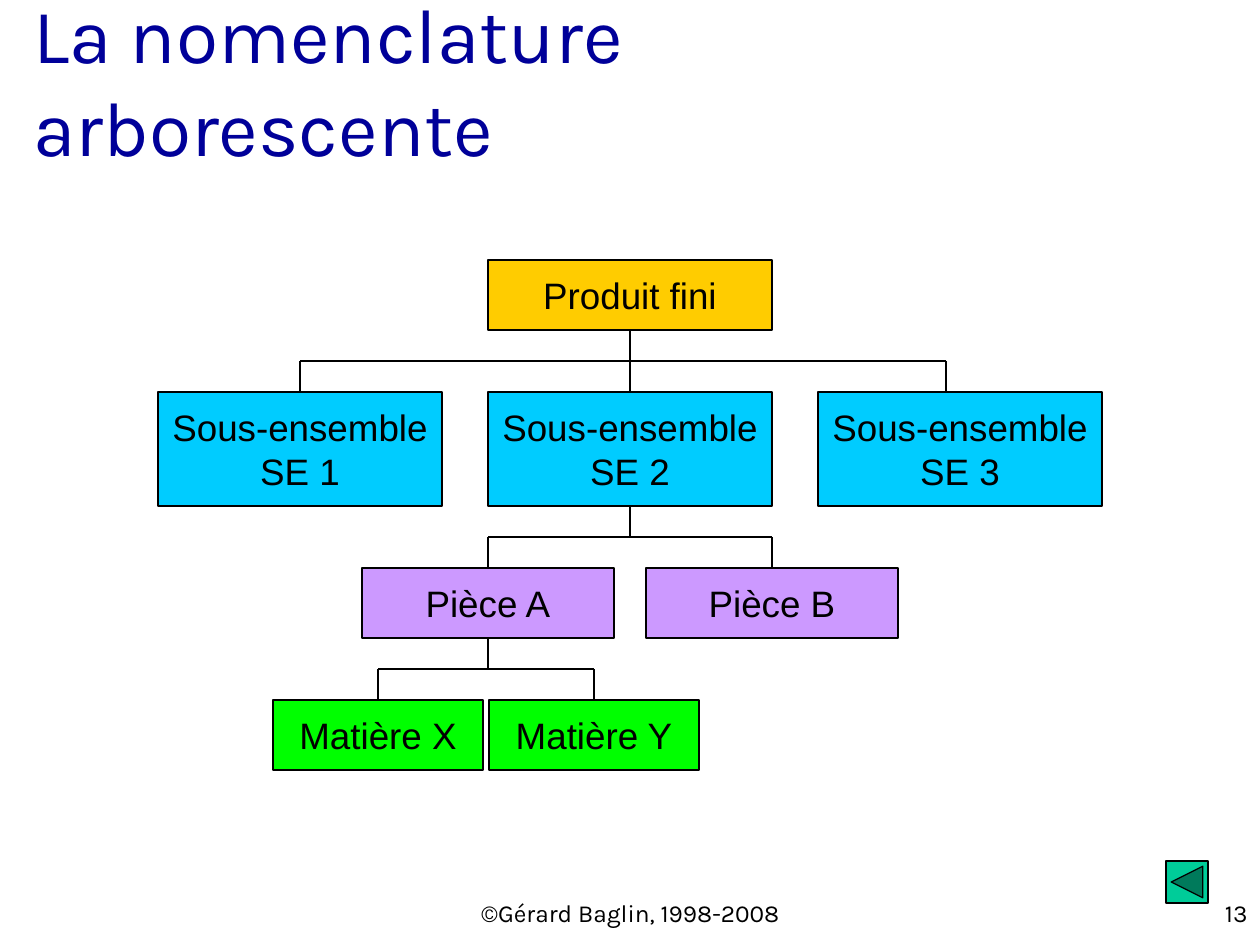
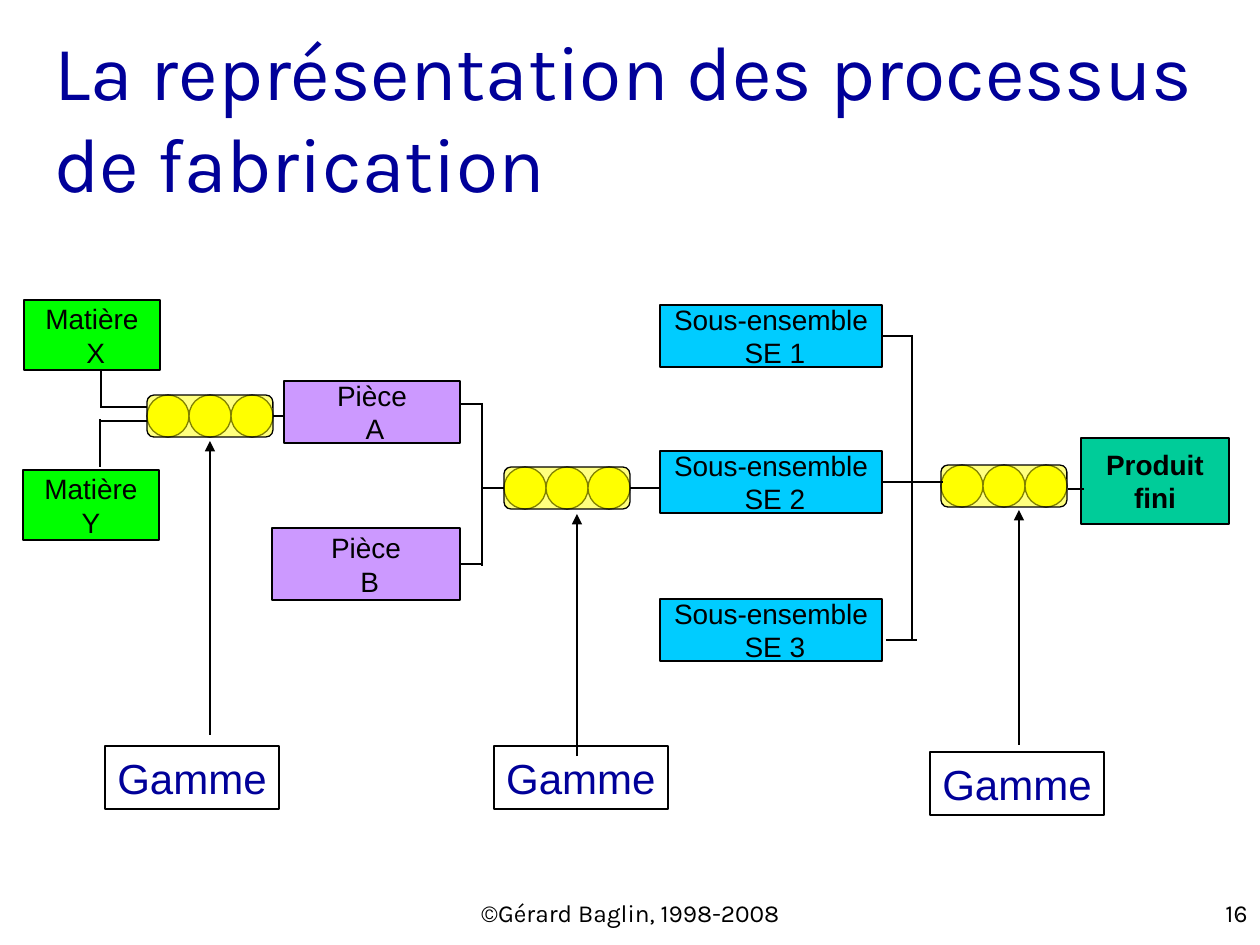
from dataclasses import dataclass
from typing import Optional

from lxml import etree
from pptx import Presentation
from pptx import slide as sl
from pptx import util as u
from pptx.dml.color import RGBColor
from pptx.enum import shapes, text
from pptx.oxml import ns
from pptx.shapes import autoshape, connector
from pptx.text import text as tx

EMU_PER_PX = 914400 / 126
SLIDE_W, SLIDE_H = 1260, 945

BLACK = RGBColor(0x00, 0x00, 0x00)
NAVY = RGBColor(0x00, 0x00, 0x99)
CYAN = RGBColor(0x00, 0xCC, 0xFF)
GREEN = RGBColor(0x00, 0xFF, 0x00)
LILAC = RGBColor(0xCC, 0x99, 0xFF)
ORANGE = RGBColor(0xFF, 0xCC, 0x00)
TEAL = RGBColor(0x00, 0xCC, 0x99)
YELLOW = RGBColor(0xFF, 0xFF, 0x00)

HEADING_FONT, BODY_FONT = "Karla", "Arial"
FOOTER = "©Gérard Baglin, 1998-2008"
TOP, LEFT, BOTTOM, RIGHT = range(4)
CENTER = text.PP_ALIGN.CENTER
RECT = shapes.MSO_SHAPE.RECTANGLE
OPERATION = 42
OPERATIONS_PER_ROUTING = 3


@dataclass(frozen=True)
class Box:
    x: int
    y: int
    w: int
    h: int


@dataclass(frozen=True)
class Item:
    """A part of the product; drop_shift moves its tree line off the middle."""
    label: str
    box: Box
    fill: RGBColor
    bold: bool = False
    parent: Optional[str] = None
    drop_shift: int = 0


@dataclass(frozen=True)
class Routing:
    key: str
    x: int
    y: int
    label_x: int
    label_y: int
    arrow_x: int
    arrow_from: int
    arrow_to: int


@dataclass(frozen=True)
class Link:
    """A line, joined to the named items at the given side."""
    x1: int
    y1: int
    x2: int
    y2: int
    source: Optional[tuple[str, int]] = None
    target: Optional[tuple[str, int]] = None


PRODUCT_TREE = [
    Item("Produit fini", Box(488, 260, 284, 70), ORANGE),
    Item("Sous-ensemble\nSE 1", Box(158, 392, 284, 114), CYAN, parent="Produit fini"),
    Item("Sous-ensemble\nSE 2", Box(488, 392, 284, 114), CYAN, parent="Produit fini"),
    Item("Sous-ensemble\nSE 3", Box(818, 392, 284, 114), CYAN, parent="Produit fini",
         drop_shift=-14),
    Item("Pièce A", Box(362, 568, 252, 70), LILAC, parent="Sous-ensemble\nSE 2"),
    Item("Pièce B", Box(646, 568, 252, 70), LILAC, parent="Sous-ensemble\nSE 2"),
    Item("Matière X", Box(273, 700, 210, 70), GREEN, parent="Pièce A"),
    Item("Matière Y", Box(489, 700, 210, 70), GREEN, parent="Pièce A"),
]

PROCESS_ITEMS = {
    "SE 1": Item("Sous-ensemble\n SE 1", Box(660, 305, 222, 62), CYAN),
    "X": Item("Matière\n X", Box(24, 300, 136, 70), GREEN),
    "Y": Item("Matière\nY", Box(23, 470, 136, 70), GREEN),
    "A": Item("Pièce\n A", Box(284, 381, 176, 62), LILAC),
    "B": Item("Pièce\n B", Box(272, 528, 188, 72), LILAC),
    "Produit": Item("Produit fini", Box(1081, 438, 148, 86), TEAL, bold=True),
    "SE 2": Item("Sous-ensemble\n SE 2", Box(660, 451, 222, 62), CYAN),
    "SE 3": Item("Sous-ensemble\n SE 3", Box(660, 599, 222, 62), CYAN),
}

ROUTINGS = [
    Routing("final", 941, 465, 930, 752, 1019, 745, 510),
    Routing("sub", 504, 467, 494, 746, 577, 756, 514),
    Routing("part", 147, 395, 105, 746, 210, 735, 441),
]

PROCESS_LINKS = [
    Link(912, 336, 912, 640),
    Link(882, 336, 913, 336, source=("SE 1", RIGHT)),
    Link(882, 482, 943, 482, source=("SE 2", RIGHT)),
    Link(1068, 489, 1084, 489),
    Link(886, 640, 917, 640),
    Link(482, 403, 482, 566),
    Link(482, 488, 504, 488, target=("sub", LEFT)),
    Link(460, 404, 482, 404),
    Link(460, 564, 482, 564, source=("B", RIGHT)),
    Link(630, 488, 660, 488, source=("sub", RIGHT)),
    Link(101, 370, 101, 408),
    Link(101, 407, 147, 407),
    Link(100, 419, 100, 467),
    Link(101, 421, 147, 421),
    Link(273, 416, 285, 416, source=("part", RIGHT)),
]


def px(length: int) -> u.Emu:
    return u.Emu(round(length * EMU_PER_PX))


def place(box: Box) -> tuple[u.Emu, ...]:
    return px(box.x), px(box.y), px(box.w), px(box.h)


def write(frame: tx.TextFrame, words: str, *, size: int, font: str = BODY_FONT,
          color: RGBColor = BLACK, align: text.PP_ALIGN = CENTER, bold: bool = False,
          anchor: text.MSO_ANCHOR = text.MSO_ANCHOR.MIDDLE, wrap: bool = True) -> None:
    frame.word_wrap = wrap
    frame.vertical_anchor = anchor
    frame.text = words
    for paragraph in frame.paragraphs:
        paragraph.alignment = align
        for run in paragraph.runs:
            run.font.size = u.Pt(size)
            run.font.name = font
            run.font.bold = bold
            run.font.color.rgb = color


def add_figure(slide: sl.Slide, preset: shapes.MSO_SHAPE, box: Box,
               fill: Optional[RGBColor] = None) -> autoshape.Shape:
    figure = slide.shapes.add_shape(preset, *place(box))
    figure.shadow.inherit = False
    if fill is None:
        figure.fill.background()
    else:
        figure.fill.solid()
        figure.fill.fore_color.rgb = fill
    figure.line.color.rgb = BLACK
    figure.line.width = u.Pt(0.75)
    return figure


def add_line(slide: sl.Slide, x1: int, y1: int, x2: int, y2: int, *,
             width: float = 0.75, arrow: bool = False) -> connector.Connector:
    line = slide.shapes.add_connector(
        shapes.MSO_CONNECTOR.STRAIGHT, px(x1), px(y1), px(x2), px(y2))
    line.line.color.rgb = BLACK
    line.line.width = u.Pt(width)
    properties = line.element.spPr
    if arrow:
        etree.SubElement(properties.find(ns.qn("a:ln")), ns.qn("a:tailEnd"), type="triangle")
    etree.SubElement(properties, ns.qn("a:effectLst"))
    return line


def add_words(slide: sl.Slide, box: Box, words: str, **style) -> None:
    write(slide.shapes.add_textbox(*place(box)).text_frame, words,
          font=HEADING_FONT, **style)


def add_item(slide: sl.Slide, item: Item, size: int) -> autoshape.Shape:
    figure = add_figure(slide, RECT, item.box, item.fill)
    write(figure.text_frame, item.label, size=size, bold=item.bold)
    return figure


def add_page(deck, title: str, title_box: Box, number: int) -> sl.Slide:
    """Adds a slide with its title, credit and page number."""
    slide = deck.slides.add_slide(deck.slide_layouts[6])
    add_words(slide, title_box, title, size=44, color=NAVY, align=text.PP_ALIGN.LEFT)
    top = text.MSO_ANCHOR.TOP
    add_words(slide, Box(431, 892, 399, 32), FOOTER, size=14, anchor=top)
    add_words(slide, Box(998, 892, 262, 32), str(number), size=14, anchor=top,
              align=text.PP_ALIGN.RIGHT)
    return slide


def add_tree(slide: sl.Slide, items: list[Item]) -> None:
    """Draws the boxes, then a trunk, rail and drops below each parent."""
    figures = {item.label: add_item(slide, item, size=21) for item in items}
    for parent in items:
        children = [item for item in items if item.parent == parent.label]
        if not children:
            continue
        trunk_x = parent.box.x + parent.box.w // 2
        bottom = parent.box.y + parent.box.h
        rail_y = (bottom + children[0].box.y) // 2
        trunk = add_line(slide, trunk_x, bottom, trunk_x, rail_y, width=1.5)
        trunk.begin_connect(figures[parent.label], BOTTOM)
        for child in children:
            drop_x = child.box.x + child.box.w // 2 + child.drop_shift
            drop = add_line(slide, drop_x, rail_y, drop_x, child.box.y, width=1.5)
            if not child.drop_shift:
                drop.end_connect(figures[child.label], TOP)
            if drop_x != trunk_x:
                add_line(slide, trunk_x, rail_y, drop_x, rail_y, width=1.5)


def add_routing(slide: sl.Slide, routing: Routing) -> autoshape.Shape:
    """Draws the operations in their translucent frame, with label and arrow."""
    for step in range(OPERATIONS_PER_ROUTING):
        add_figure(slide, shapes.MSO_SHAPE.OVAL,
                   Box(routing.x + step * OPERATION, routing.y, OPERATION, OPERATION), YELLOW)
    frame = add_figure(
        slide, shapes.MSO_SHAPE.ROUNDED_RECTANGLE,
        Box(routing.x, routing.y, OPERATIONS_PER_ROUTING * OPERATION, OPERATION), YELLOW)
    tint = frame.element.spPr.find(ns.qn("a:solidFill")).find(ns.qn("a:srgbClr"))
    etree.SubElement(tint, ns.qn("a:alpha"), val="50000")

    label = add_figure(slide, RECT, Box(routing.label_x, routing.label_y, 174, 63))
    write(label.text_frame, "Gamme", size=24, color=NAVY, wrap=False)
    add_line(slide, routing.arrow_x, routing.arrow_from,
             routing.arrow_x, routing.arrow_to, arrow=True)
    return frame


def add_process(slide: sl.Slide) -> None:
    stages = {key: add_item(slide, item, size=16) for key, item in PROCESS_ITEMS.items()}
    for routing in ROUTINGS:
        stages[routing.key] = add_routing(slide, routing)
    for link in PROCESS_LINKS:
        line = add_line(slide, link.x1, link.y1, link.x2, link.y2)
        if link.source:
            key, side = link.source
            line.begin_connect(stages[key], side)
        if link.target:
            key, side = link.target
            line.end_connect(stages[key], side)


def main() -> None:
    deck = Presentation()
    deck.slide_width, deck.slide_height = px(SLIDE_W), px(SLIDE_H)

    tree = add_page(deck, "La nomenclature arborescente", Box(21, 0, 1071, 158), 13)
    add_tree(tree, PRODUCT_TREE)
    add_figure(tree, shapes.MSO_SHAPE.ACTION_BUTTON_BACK_OR_PREVIOUS,
               Box(1166, 861, 42, 42), TEAL)

    process = add_page(deck, "La représentation des processus\vde fabrication",
                       Box(42, 42, 1187, 147), 16)
    add_process(process)
    deck.save("out.pptx")


if __name__ == "__main__":
    main()
